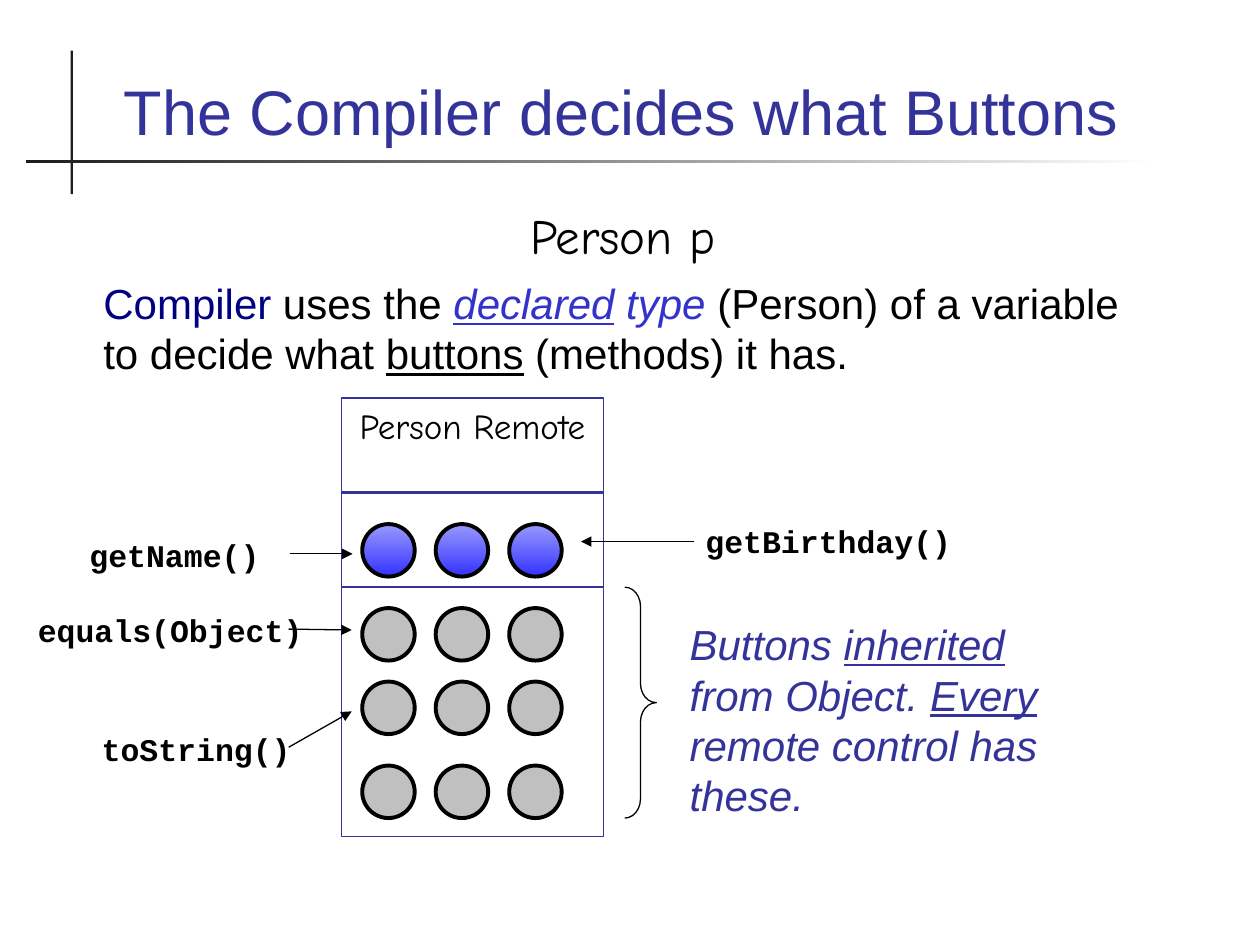
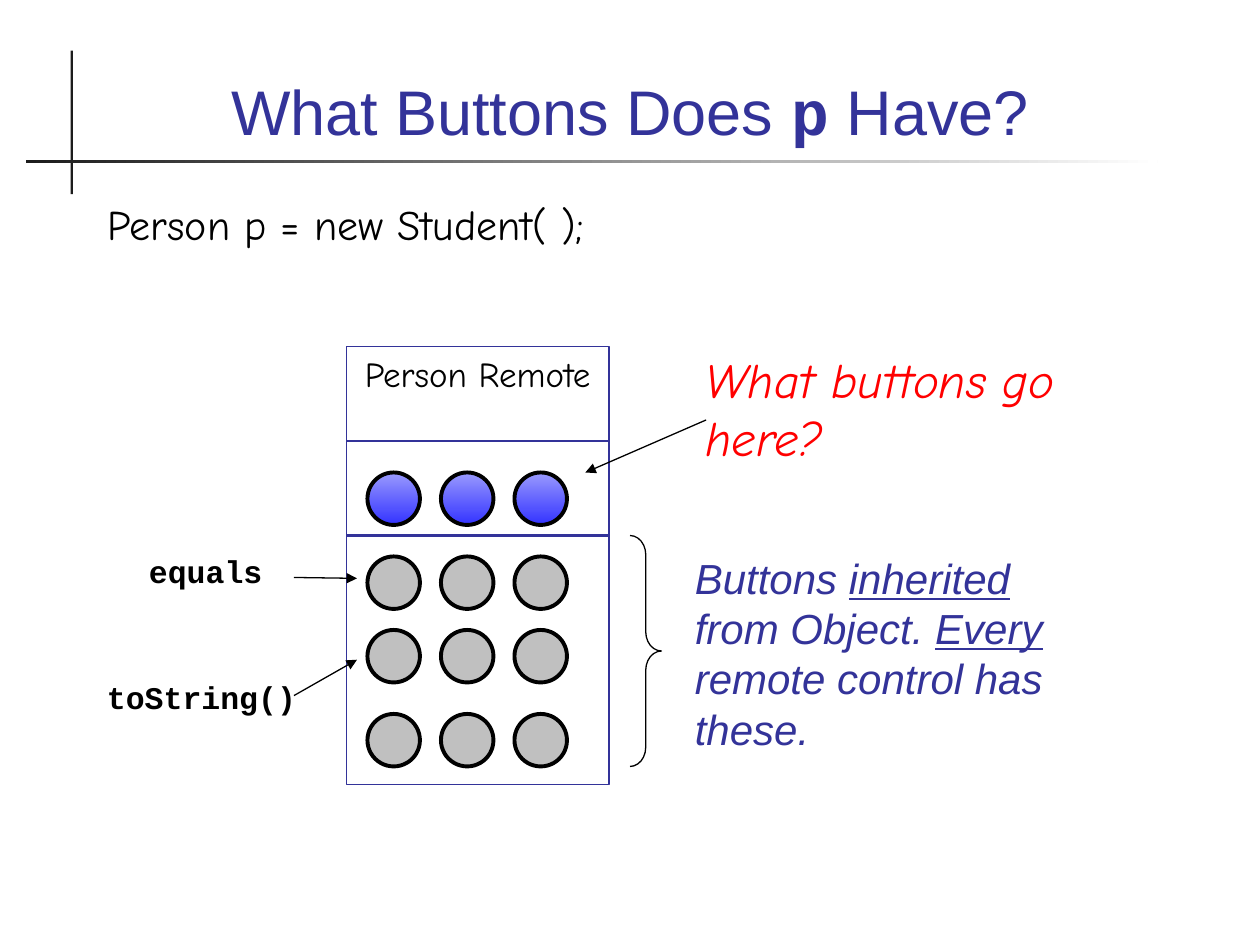
from lxml.etree import SubElement
from pptx import Presentation
from pptx.dml.color import RGBColor
from pptx.enum.shapes import MSO_CONNECTOR, MSO_SHAPE
from pptx.enum.text import MSO_ANCHOR, MSO_AUTO_SIZE, PP_ALIGN
from pptx.oxml.ns import qn
from pptx.util import Pt

COLORS = {
    "title": "333399", "ink": "000000", "navy": "000080", "type": "3333CC",
    "ask": "FF0000", "gray": "C0C0C0", "top": "9999FE", "low": "3333FF",
    "bar": "1C1C1C", "white": "FFFFFF",
}
SANS, HAND, CODE = "Arial", "Comic Neue", "Courier New"
LEFT, MID = PP_ALIGN.LEFT, PP_ALIGN.CENTER


def rgb(name):
    return RGBColor.from_string(COLORS[name])


class Deck:
    def __init__(self):
        self.prs = Presentation()
        self.prs.slide_width, self.prs.slide_height = Pt(720), Pt(540)
        self.slide = None

    def start(self, layout, *title):
        self.slide = self.prs.slides.add_slide(self.prs.slide_layouts[layout])
        box = self.slide.shapes.title
        self.place(box, 48, 20, 624, 68.5)
        self.words(box, title, 36, SANS, "title", MID)
        box.text_frame.vertical_anchor = MSO_ANCHOR.BOTTOM

    def frame(self):
        """Put the crossed title rules on the master."""
        tree = self.prs.slide_master.shapes.element
        rules = (self.shape(40.3, 29, 1.4, 82, fill=["bar"]),
                 self.shape(15, 91.5, 646.5, 1.4, fill=["bar", "white"], angle=0))
        for num, rule in enumerate(rules, 20):
            rule.element.nvSpPr.cNvPr.id = num
            tree.append(rule.element)

    def place(self, box, x, y, w, h):
        box.left, box.top, box.width, box.height = Pt(x), Pt(y), Pt(w), Pt(h)

    def words(self, box, parts, size, face, color, align=LEFT, bold=False, slant=False):
        """Fill a box; a part is plain text or (text, changes)."""
        frame = box.text_frame
        frame.word_wrap = True
        frame.auto_size = MSO_AUTO_SIZE.NONE
        frame.vertical_anchor = MSO_ANCHOR.TOP
        para = frame.paragraphs[0]
        para.alignment, para.space_before = align, Pt(0)
        font = para.font
        font.size, font.name, font.bold, font.italic = Pt(size), face, bold, slant
        font.color.rgb = rgb(color)
        for part in parts:
            text, more = (part, {}) if isinstance(part, str) else part
            run = para.add_run()
            run.text = text
            for key, value in more.items():
                if key == "color":
                    run.font.color.rgb = rgb(value)
                else:
                    setattr(run.font, key, value)

    def text(self, x, y, w, h, parts, size, face, color="ink", **style):
        box = self.slide.shapes.add_textbox(Pt(x), Pt(y), Pt(w), Pt(h))
        self.words(box, parts, size, face, color, **style)

    def code(self, x, y, w, label):
        self.text(x, y, w, 29, [label], 18, CODE, bold=True)

    def body(self, x, y, w, h, label):
        box = self.slide.placeholders[1]
        self.place(box, x, y, w, h)
        props = box.text_frame.paragraphs[0]._p.get_or_add_pPr()
        props.set("marL", str(Pt(27)))
        props.set("indent", str(Pt(-26)))
        SubElement(props, qn("a:buNone"))
        self.words(box, [label], 24, HAND, "ink")

    def shape(self, x, y, w, h, kind=MSO_SHAPE.RECTANGLE, fill=(), angle=270,
              line=None, width=0.75):
        item = self.slide.shapes.add_shape(kind, Pt(x), Pt(y), Pt(w), Pt(h))
        item.shadow.inherit = False
        if len(fill) == 2:
            item.fill.gradient()
            item.fill.gradient_angle = angle
            for stop, name in zip(item.fill.gradient_stops, fill):
                stop.color.rgb = rgb(name)
        elif fill:
            item.fill.solid()
            item.fill.fore_color.rgb = rgb(fill[0])
        else:
            item.fill.background()
        if line:
            item.line.color.rgb, item.line.width = rgb(line), Pt(width)
        else:
            item.line.fill.background()
        return item

    def line(self, x1, y1, x2, y2, color="ink", width=0.75, arrow=True):
        item = self.slide.shapes.add_connector(
            MSO_CONNECTOR.STRAIGHT, Pt(x1), Pt(y1), Pt(x2), Pt(y2))
        item.line.color.rgb, item.line.width = rgb(color), Pt(width)
        props = item.element.spPr
        if arrow:
            SubElement(props.find(qn("a:ln")), qn("a:tailEnd"), type="triangle")
        SubElement(props, qn("a:effectLst"))

    def remote(self, x, y, note):
        """Draw the remote with the parts both slides show around it."""
        case = self.shape(x, y, 150, 250.5, line="title")
        self.words(case, ["Person Remote"], 20, HAND, "ink", MID)
        for gap in (54, 108):
            self.line(x, y + gap, x + 150, y + gap, "title", 1.5, arrow=False)
        # Buttons: own methods on top, inherited ones below
        for row, gap in enumerate((72, 120, 162, 210)):
            fill = ["gray"] if row else ["top", "low"]
            for col in range(3):
                self.shape(x + 12 + 42 * col, y + gap, 30, 30, MSO_SHAPE.OVAL,
                           fill, line="ink", width=2.25)
        brace = self.shape(x + 162, y + 108, 18, 132, MSO_SHAPE.RIGHT_BRACE, line="ink")
        brace.adjustments[0] = 0.61
        # Labels
        self.line(x - 30, y + 132, x + 6, y + 132.5)
        self.line(x - 30, y + 199.5, x + 6, y + 179)
        self.code(x - 144, y + 186, 126, "toString()")
        under = {"underline": True}
        self.text(x + 192, note, 225, 122.5,
                  ["Buttons ", ("inherited", under), " from Object. ",
                   ("Every", under), " remote control has these."],
                  24, SANS, "title", slant=True)


def main():
    deck = Deck()

    # Slide 1: buttons set by the declared type
    deck.start(5, "The Compiler decides what Buttons ")
    deck.frame()
    deck.text(63.5, 114, 594, 41, ["Person p "], 28, HAND, align=MID)
    deck.text(52, 155, 618, 65, [
        ("Compiler", {"color": "navy"}), " uses the ",
        ("declared", {"color": "type", "italic": True, "underline": True}),
        (" type", {"color": "type", "italic": True}),
        " (Person) of a variable to decide what ",
        ("buttons", {"underline": True}), " (methods) it has."], 24, SANS)
    deck.remote(195, 227.5, 350)
    deck.line(396.5, 309.5, 332, 309.5)
    deck.line(165.5, 316.5, 201.5, 316.5)
    deck.code(396, 295, 194.5, "getBirthday()")
    deck.code(14.5, 345.5, 173, "equals(Object)")
    deck.code(44, 302.5, 114.5, "getName()")

    # Slide 2: question about the open buttons
    deck.start(1, "What Buttons Does ", ("p", {"name": CODE, "bold": True}), " Have?")
    deck.body(53.5, 110, 623.5, 64, "Person p = new Student( );")
    deck.remote(198, 198, 312)
    deck.text(396, 196, 240, 75, ["What buttons go here?"], 28, HAND, "ask", slant=True)
    deck.line(403.5, 240, 334.5, 270)
    deck.code(78, 312, 84, "equals")

    deck.prs.save("out.pptx")


if __name__ == "__main__":
    main()
